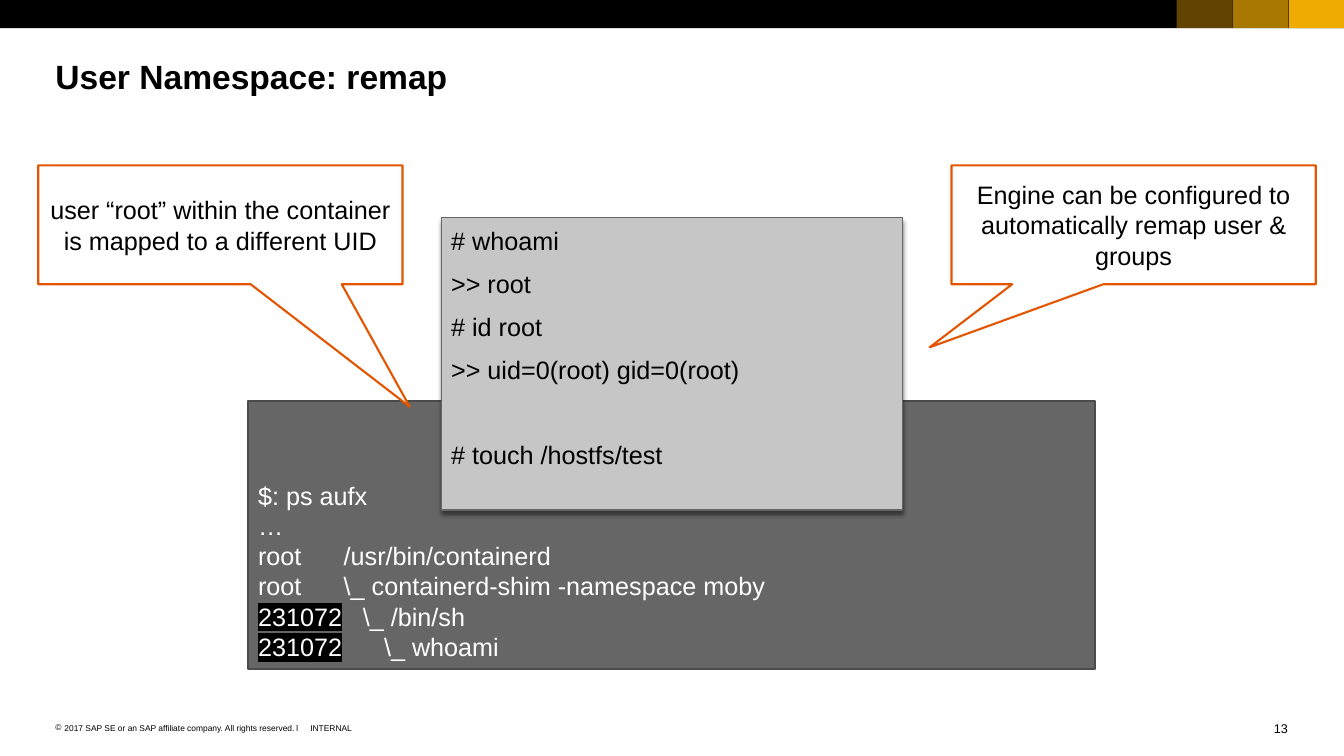
from dataclasses import dataclass
from typing import Optional

import pptx
import pptx.dml.color
import pptx.enum.shapes
import pptx.enum.text
import pptx.oxml.ns
import pptx.util
from lxml import etree

ALIGN = pptx.enum.text.PP_ALIGN
ANCHOR = pptx.enum.text.MSO_ANCHOR
SHAPE = pptx.enum.shapes.MSO_SHAPE


@dataclass(frozen=True)
class Theme:
    font: str = "Arial"
    black: str = "000000"
    white: str = "FFFFFF"
    gold: str = "F0AB00"
    orange: str = "E35500"
    host_fill: str = "666666"
    host_line: str = "4B4B4B"
    container_fill: str = "C6C6C6"
    title_size: float = 24
    body_size: float = 18
    number_size: float = 9
    footer_size: float = 6


THEME = Theme()
WIDTH = pptx.util.Inches(13.34)
HEIGHT = pptx.util.Inches(7.5)


@dataclass(frozen=True)
class Area:
    """Percentages of the slide width and height."""
    left: float
    top: float
    width: float
    height: float

    def lengths(self) -> tuple[int, int, int, int]:
        return (int(WIDTH * self.left / 100), int(HEIGHT * self.top / 100),
                int(WIDTH * self.width / 100), int(HEIGHT * self.height / 100))


@dataclass(frozen=True)
class Line:
    text: str
    tab: float = 0
    marked: str = ""
    before: float = 0
    bullet: str = ""


@dataclass(frozen=True)
class Callout:
    area: Area
    text: str
    tip: tuple[float, float]


@dataclass(frozen=True)
class Label:
    area: Area
    line: Line
    size: float
    bold: bool = False
    align: ALIGN = ALIGN.LEFT


MARGIN = 4.12
BAR_HEIGHT = 3.73
SWATCH_STEP = 4.16
FOOTER_TOP = 95.6
CALLOUT_TOP, CALLOUT_WIDTH, CALLOUT_HEIGHT = 21.87, 27.1, 15.73

HOST_LINES = [
    Line("$: ps aufx"),
    Line("…"),
    Line("root\t/usr/bin/containerd", tab=0.85),
    Line("root\t\\_ containerd-shim -namespace moby", tab=0.85),
    Line("\t\\_ /bin/sh", tab=1.04, marked="231072"),
    Line("\t\\_ whoami", tab=1.25, marked="231072"),
]
CONTAINER_LINES = [
    Line("# whoami"),
    Line(">> root", before=8.9),
    Line("# id root", before=8.9),
    Line(">> uid=0(root) gid=0(root)", before=8.9),
    Line("# touch /hostfs/test", before=39.6),
]
CALLOUTS = [
    Callout(Area(2.85, CALLOUT_TOP, CALLOUT_WIDTH, CALLOUT_HEIGHT),
            "user “root” within the container is mapped to a different UID", (0.52, 1.53)),
    Callout(Area(70.8, CALLOUT_TOP, CALLOUT_WIDTH, CALLOUT_HEIGHT),
            "Engine can be configured to automatically remap user & groups", (-0.56, 1.03)),
]
LABELS = [
    Label(Area(MARGIN, 7.33, 91.68, 5.33), Line("User Namespace: remap"), THEME.title_size, bold=True),
    Label(Area(MARGIN, FOOTER_TOP, 18.59, 1.33),
          Line("2017 SAP SE or an SAP affiliate company. All rights reserved.\tǀ", tab=2.46, bullet="©"),
          THEME.footer_size),
    Label(Area(23.09, FOOTER_TOP, 3.15, 1.33), Line("INTERNAL"), THEME.footer_size),
    Label(Area(94.7, 95.33, 1.12, 2), Line("13"), THEME.number_size, align=ALIGN.RIGHT),
]


def rgb(value: str) -> pptx.dml.color.RGBColor:
    return pptx.dml.color.RGBColor.from_string(value)


def add_child(parent, tag: str, **attributes):
    child = etree.SubElement(parent, pptx.oxml.ns.qn(tag))
    for name, value in attributes.items():
        child.set(name, str(value))
    return child


def add_run(paragraph, text: str, *, size: float, color: str, bold: bool, highlight: str = "") -> None:
    run = paragraph.add_run()
    run.text = text
    run.font.size = pptx.util.Pt(size)
    run.font.bold = bold
    run.font.color.rgb = rgb(color)
    if highlight:
        add_child(add_child(run.font._element, "a:highlight"), "a:srgbClr", val=highlight)
    run.font.name = THEME.font


def write_text(shape, lines: list[Line], *, size: float = THEME.body_size, color: str = THEME.black,
               bold: bool = False, align: ALIGN = ALIGN.LEFT, anchor: ANCHOR = ANCHOR.TOP,
               inset: tuple[float, float] = (0.1, 0.08), wrap: bool = True) -> None:
    frame = shape.text_frame
    frame.word_wrap = wrap
    frame.vertical_anchor = anchor
    frame.margin_left = frame.margin_right = pptx.util.Inches(inset[0])
    frame.margin_top = frame.margin_bottom = pptx.util.Inches(inset[1])
    for index, line in enumerate(lines):
        paragraph = frame.paragraphs[0] if index == 0 else frame.add_paragraph()
        paragraph.alignment = align
        if line.before:
            paragraph.space_before = pptx.util.Pt(line.before)
        properties = paragraph._p.get_or_add_pPr()
        if line.bullet:
            hanging = pptx.util.Inches(0.09)
            properties.set("marL", str(hanging))
            properties.set("indent", str(-hanging))
            add_child(properties, "a:buFont", typeface=THEME.font)
            add_child(properties, "a:buChar", char=line.bullet)
        if line.tab:
            add_child(add_child(properties, "a:tabLst"), "a:tab", pos=pptx.util.Inches(line.tab), algn="l")
        if line.marked:
            add_run(paragraph, line.marked, size=size, color=color, bold=bold, highlight=THEME.black)
        add_run(paragraph, line.text, size=size, color=color, bold=bold)


def add_box(slide, area: Area, fill: str, *, line: Optional[str] = None, line_width: float = 1.5,
            opacity: int = 100, kind: SHAPE = SHAPE.RECTANGLE):
    shape = slide.shapes.add_shape(kind, *area.lengths())
    shape.shadow.inherit = False
    shape.fill.solid()
    shape.fill.fore_color.rgb = rgb(fill)
    if opacity < 100:
        color = shape.element.spPr.find(".//" + pptx.oxml.ns.qn("a:srgbClr"))
        add_child(color, "a:alpha", val=opacity * 1000)
    if line:
        shape.line.color.rgb = rgb(line)
        shape.line.width = pptx.util.Pt(line_width)
    else:
        shape.line.fill.background()
    return shape


def add_drop_shadow(shape) -> None:
    effects = shape.element.spPr.find(pptx.oxml.ns.qn("a:effectLst"))
    shadow = add_child(effects, "a:outerShdw", blurRad=pptx.util.Pt(3), dist=pptx.util.Pt(2.4),
                       dir=90 * 60000, algn="t", rotWithShape=0)
    add_child(add_child(shadow, "a:srgbClr", val=THEME.black), "a:alpha", val=45000)


def main() -> None:
    presentation = pptx.Presentation()
    presentation.slide_width, presentation.slide_height = WIDTH, HEIGHT
    slide = presentation.slides.add_slide(presentation.slide_layouts[6])

    add_box(slide, Area(0, 0, 100, BAR_HEIGHT), THEME.black)
    for step, opacity in enumerate((100, 70, 40)):
        left = 100 - MARGIN - step * SWATCH_STEP
        add_box(slide, Area(left, 0, MARGIN, BAR_HEIGHT), THEME.gold, opacity=opacity)

    for label in LABELS:
        text_box = slide.shapes.add_textbox(*label.area.lengths())
        write_text(text_box, [label.line], size=label.size, bold=label.bold, align=label.align,
                   inset=(0, 0), wrap=False)

    host = add_box(slide, Area(18.47, 53.07, 63.04, 35.47), THEME.host_fill, line=THEME.host_line)
    write_text(host, HOST_LINES, color=THEME.white, anchor=ANCHOR.BOTTOM)

    container = add_box(slide, Area(32.83, 28.8, 34.33, 38.67), THEME.container_fill,
                        line=THEME.host_fill, line_width=0.79)
    add_drop_shadow(container)
    write_text(container, CONTAINER_LINES)

    for callout in CALLOUTS:
        shape = add_box(slide, callout.area, THEME.white, line=THEME.orange, kind=SHAPE.RECTANGULAR_CALLOUT)
        shape.adjustments[0], shape.adjustments[1] = callout.tip
        write_text(shape, [Line(callout.text)], align=ALIGN.CENTER, anchor=ANCHOR.MIDDLE)

    presentation.save("out.pptx")


if __name__ == "__main__":
    main()
